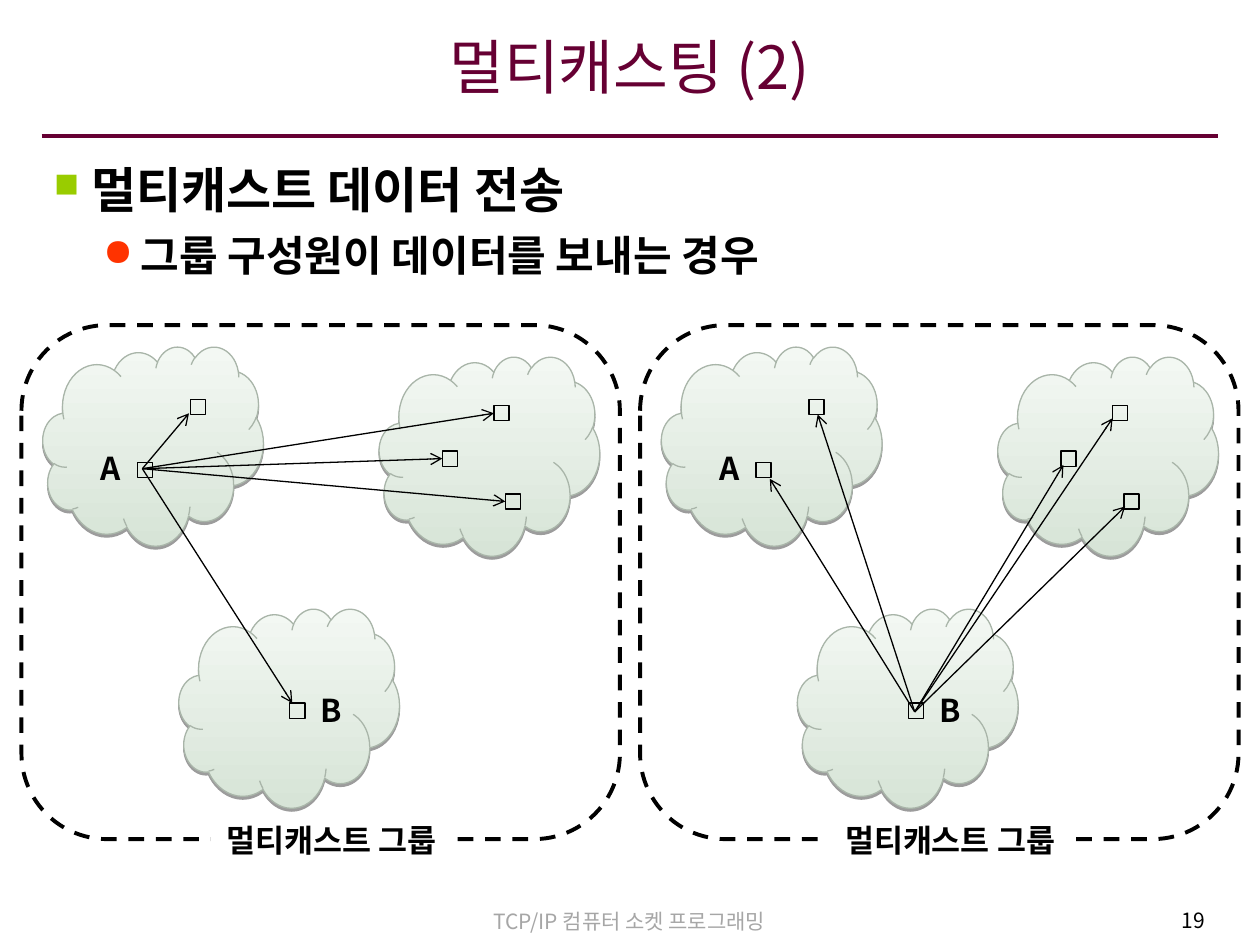
from dataclasses import dataclass

import pptx
import pptx.dml.color
import pptx.enum.dml
import pptx.enum.shapes
import pptx.enum.text
import pptx.oxml
import pptx.oxml.ns
import pptx.util
from lxml import etree
from pptx.util import Inches

SHAPE = pptx.enum.shapes.MSO_SHAPE
ALIGN = pptx.enum.text.PP_ALIGN
ANCHOR = pptx.enum.text.MSO_ANCHOR


@dataclass(frozen=True)
class Theme:
    font: str = "Noto Sans CJK KR"
    accent: str = "660033"
    ink: str = "000000"
    paper: str = "FFFFFF"
    muted: str = "A6A6A6"
    cloud_dark: str = "D7E4D7"
    cloud_light: str = "F3F8F3"
    cloud_line: str = "A9B5A9"
    square_bullet: str = "99CC00"
    round_bullet: str = "FF3300"
    title_size: int = 34
    heading_size: int = 28
    point_size: int = 24
    label_size: int = 18
    footer_size: int = 12
    thin: float = 0.75
    thick: float = 2.25


THEME = Theme()
PANEL_STEP = 4.91
HOST_SIZE = 0.12
CLOUDS = [(0.34, 2.75), (3.01, 2.83), (1.42, 4.83)]
HOSTS = {
    "A": (1.09, 3.67),
    "A neighbour": (1.51, 3.17),
    "upper": (3.92, 3.22),
    "middle": (3.51, 3.58),
    "lower": (4.01, 3.92),
    "B": (2.3, 5.58),
}
LABELS = {"A": (0.67, 3.5), "B": (2.42, 5.42)}
SENDER_A = (1.13, 3.72)
ARROWS_FROM_A = [("A neighbour", (1.5, 3.28), None), ("upper", (3.92, 3.28), 1),
                 ("middle", (3.51, 3.64), 1), ("lower", (4.01, 3.98), 1),
                 ("B", (2.32, 5.58), None)]
SENDER_B = (2.35, 5.65)
ARROWS_FROM_B = [("lower", (4.02, 4.02), None), ("middle", (3.53, 3.69), None),
                 ("upper", (3.92, 3.32), None), ("A neighbour", (1.58, 3.29), None),
                 ("A", (1.2, 3.8), None)]


def rgb(color):
    return pptx.dml.color.RGBColor.from_string(color)


def add_child(parent, tag, **attributes):
    child = etree.SubElement(parent, pptx.oxml.ns.qn(tag))
    for name, value in attributes.items():
        child.set(name, str(value))
    return child


def add_run(paragraph, text, size, color=THEME.ink, bold=False):
    run = paragraph.add_run()
    run.text = text
    run.font.size = pptx.util.Pt(size)
    run.font.bold = bold
    run.font.color.rgb = rgb(color)
    run.font.name = THEME.font
    add_child(run.font._element, "a:ea", typeface=THEME.font)


def add_text(slide, box, text, size, color=THEME.ink, bold=False, align=ALIGN.CENTER,
             anchor=ANCHOR.TOP, wrap=True):
    shape = slide.shapes.add_textbox(*map(Inches, box))
    frame = shape.text_frame
    frame.word_wrap = wrap
    frame.vertical_anchor = anchor
    frame.paragraphs[0].alignment = align
    add_run(frame.paragraphs[0], text, size, color, bold)
    return shape


def set_bullet(paragraph, character, color, percent, indent):
    properties = paragraph._p.get_or_add_pPr()
    properties.set("marL", str(Inches(indent)))
    properties.set("indent", str(Inches(-0.3)))
    add_child(add_child(properties, "a:buClr"), "a:srgbClr", val=color)
    add_child(properties, "a:buSzPct", val=percent * 1000)
    add_child(properties, "a:buChar", char=character)


def add_points(slide):
    frame = slide.shapes.add_textbox(*map(Inches, (0.33, 1.22, 9.33, 1.2))).text_frame
    frame.word_wrap = True
    heading = frame.paragraphs[0]
    set_bullet(heading, "■", THEME.square_bullet, 70, 0.3)
    add_run(heading, "멀티캐스트 데이터 전송", THEME.heading_size, bold=True)
    point = frame.add_paragraph()
    point.level = 1
    point.space_before = pptx.util.Pt(6)
    set_bullet(point, "●", THEME.round_bullet, 90, 0.69)
    add_run(point, "그룹 구성원이 데이터를 보내는 경우", THEME.point_size, bold=True)


def add_outline(slide, kind, box, color, width):
    shape = slide.shapes.add_shape(kind, *map(Inches, box))
    shape.shadow.inherit = False
    shape.fill.background()
    shape.line.color.rgb = rgb(color)
    shape.line.width = pptx.util.Pt(width)
    return shape


def add_cloud(slide, left, top):
    cloud = add_outline(slide, SHAPE.CLOUD, (left, top, 1.75, 1.58),
                        THEME.cloud_line, THEME.thin)
    cloud.fill.gradient()
    cloud.fill.gradient_angle = 90
    for stop, color in zip(cloud.fill.gradient_stops, (THEME.cloud_dark, THEME.cloud_light)):
        stop.color.rgb = rgb(color)
    effects = cloud._element.spPr.find(pptx.oxml.ns.qn("a:effectLst"))
    shadow = add_child(effects, "a:outerShdw", blurRad=0, dist=pptx.util.Pt(1.6),
                       dir=90 * 60000, rotWithShape=0)
    add_child(add_child(shadow, "a:srgbClr", val=THEME.ink), "a:alpha", val=38000)


def add_line(slide, start, end, color, width, arrow=False):
    line = slide.shapes.add_connector(pptx.enum.shapes.MSO_CONNECTOR.STRAIGHT,
                                      *map(Inches, (*start, *end)))
    line.line.color.rgb = rgb(color)
    line.line.width = pptx.util.Pt(width)
    if arrow:
        add_child(line.line._get_or_add_ln(), "a:tailEnd", type="arrow")
    add_child(line._element.spPr, "a:effectLst")
    return line


def add_panel(slide, offset, sender, arrows):
    for left, top in CLOUDS:
        add_cloud(slide, left + offset, top)
    hosts = {
        name: add_outline(slide, SHAPE.RECTANGLE, (left + offset, top, HOST_SIZE, HOST_SIZE),
                          THEME.ink, THEME.thin)
        for name, (left, top) in HOSTS.items()
    }
    for target, (x, y), side in arrows:
        line = add_line(slide, (sender[0] + offset, sender[1]), (x + offset, y),
                        THEME.ink, THEME.thin, arrow=True)
        if side is not None:
            line.end_connect(hosts[target], side)
    for text, (left, top) in LABELS.items():
        add_text(slide, (left + offset, top, 0.42, 0.42), text, THEME.label_size,
                 bold=True, anchor=ANCHOR.MIDDLE, wrap=False)
    border = add_outline(slide, SHAPE.FLOWCHART_ALTERNATE_PROCESS,
                         (0.17 + offset, 2.58, 4.75, 4.08), THEME.ink, THEME.thick)
    border.line.dash_style = pptx.enum.dml.MSO_LINE.DASH
    caption = add_text(slide, (1.67 + offset, 6.5, 1.92, 0.33), "멀티캐스트 그룹",
                       THEME.label_size, bold=True, anchor=ANCHOR.MIDDLE, wrap=False)
    caption.fill.solid()
    caption.fill.fore_color.rgb = rgb(THEME.paper)


def main():
    presentation = pptx.Presentation()
    presentation.slide_width, presentation.slide_height = Inches(10), Inches(7.5)
    slide = presentation.slides.add_slide(presentation.slide_layouts[6])
    add_line(slide, (0.33, 1.08), (9.67, 1.08), THEME.accent, THEME.thick)
    add_text(slide, (2.87, 7.16, 4.25, 0.3), "TCP/IP 컴퓨터 소켓 프로그래밍",
             THEME.footer_size, THEME.muted)
    add_text(slide, (7.54, 7.15, 2.12, 0.33), "19", THEME.footer_size, align=ALIGN.RIGHT)
    title = add_text(slide, (0.33, 0.15, 9.33, 0.85), "멀티캐스팅 (2)",
                     THEME.title_size, THEME.accent, anchor=ANCHOR.MIDDLE)
    title.text_frame.margin_bottom = Inches(0.16)
    add_points(slide)
    add_panel(slide, 0, SENDER_A, ARROWS_FROM_A)
    add_panel(slide, PANEL_STEP, SENDER_B, ARROWS_FROM_B)
    presentation.save("out.pptx")


if __name__ == "__main__":
    main()
